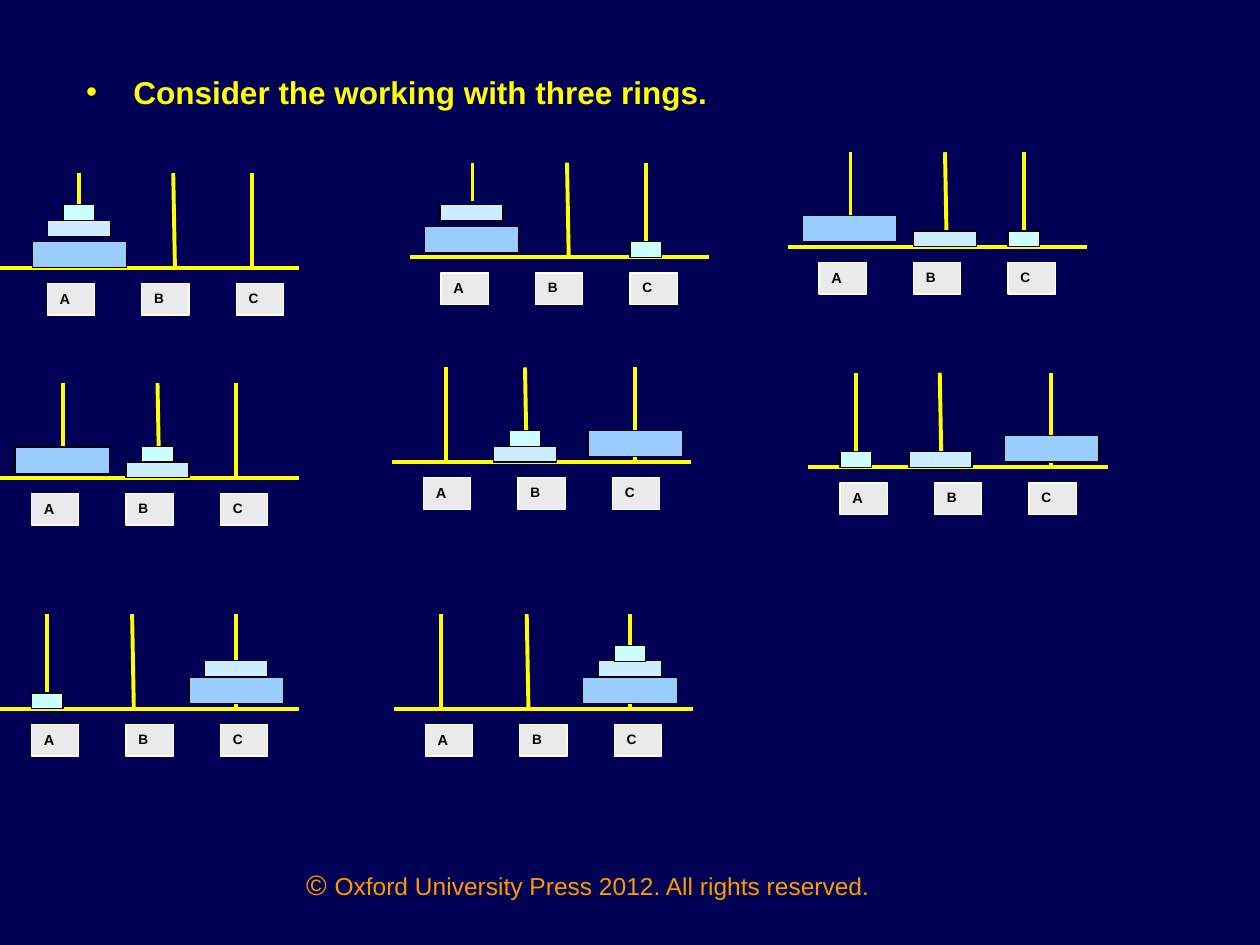
"""Builds a slide that shows eight states of three rings moving between three pegs."""
from pptx import Presentation
from pptx.dml.color import RGBColor
from pptx.enum.shapes import MSO_CONNECTOR, MSO_SHAPE
from pptx.enum.text import MSO_ANCHOR, MSO_AUTO_SIZE, PP_ALIGN
from pptx.oxml.ns import qn
from pptx.util import Pt
from lxml import etree

STRAIGHT = MSO_CONNECTOR.STRAIGHT
RECTANGLE = MSO_SHAPE.RECTANGLE
TOP = MSO_ANCHOR.TOP
NO_FIT = MSO_AUTO_SIZE.NONE
LEFT, CENTER = PP_ALIGN.LEFT, PP_ALIGN.CENTER

NAVY, YELLOW, ORANGE = "000055", "FFFF00", "FF9900"
BLACK, WHITE, GREY = "000000", "FFFFFF", "EAEAEA"
RINGS = [(54, 15, "99CCFF"), (36, 9, "CCECFF"), (18, 9, "CCFFFF")]
LABELS = [("A", 8.3), ("B", 7.8), ("C", 7.8)]
BASE_WIDTH, PEG_HEIGHT, LABEL_STEP = 171, 54, 54

# Base origin, first label, peg positions, foot of peg A, ring corners from large to small
STATES = [
    ((0, 153), 27, (45, 99, 144), -32, [(18.5, -15), (27, -27), (36, -36)]),
    ((234, 147), 18, (36, 90, 135), -32, [(8.5, -17.5), (17.5, -30), (126, -9)]),
    ((450, 141), 18, (36, 90, 135), -18, [(8.5, -18), (72, -9), (126, -9)]),
    ((0, 273), 18, (36, 90, 135), -18, [(8.5, -17.5), (72, -9), (81, -18)]),
    ((224, 264), 18, (31, 76, 139), 0, [(112, -18), (58, -9), (67, -18)]),
    ((462, 267), 18, (27, 75, 138.5), 0, [(112, -18), (57.5, -9), (18, -9)]),
    ((0, 405), 18, (27, 75.5, 135), 0, [(108, -18), (117, -27.5), (18, -9)]),
    ((225, 405), 18, (27, 76, 135), 0, [(108, -18), (117, -27.5), (126, -36)]),
]


def color(value):
    """Turn a hex string into a colour."""
    return RGBColor.from_string(value)


class RingSlide:
    """Holds the style and the current page."""

    font = "Arial"

    def __init__(self, page):
        """Take the page and paint its background."""
        self.page = page
        page.background.fill.solid()
        page.background.fill.fore_color.rgb = color(NAVY)

    def span(self, para, text, size, ink, bold=False):
        """Add one run of text."""
        span = para.add_run()
        span.text = text
        span.font.name = self.font
        span.font.size = Pt(size)
        span.font.bold = bold
        span.font.color.rgb = color(ink)

    def heading(self, text):
        """Fill the body placeholder with one bullet and drop the empty title."""
        title = self.page.shapes.title.element
        title.getparent().remove(title)
        body = self.page.placeholders[1]
        body.left, body.top, body.width, body.height = Pt(42), Pt(36), Pt(648), Pt(48)
        frame = body.text_frame
        frame.auto_size, frame.vertical_anchor = NO_FIT, TOP
        frame.margin_top = Pt(5.5)
        para = frame.paragraphs[0]
        props = para._p.get_or_add_pPr()
        props.set("marL", str(Pt(27)))
        props.set("indent", str(-Pt(27)))
        ink = etree.SubElement(props, qn("a:buClr"))
        etree.SubElement(ink, qn("a:srgbClr"), val=YELLOW)
        etree.SubElement(props, qn("a:buFont"), typeface=self.font)
        etree.SubElement(props, qn("a:buChar"), char="•")
        para.space_before = Pt(0)
        self.span(para, text, 18, YELLOW, True)

    def footer(self, spans):
        """Add the centred copyright line."""
        box = self.page.shapes.add_textbox(Pt(144), Pt(492), Pt(384), Pt(37.5))
        box.text_frame.word_wrap = True
        para = box.text_frame.paragraphs[0]
        para.alignment = CENTER
        for text, size in spans:
            self.span(para, text, size, ORANGE)

    def line(self, x1, y1, x2, y2):
        """Draw a yellow line."""
        line = self.page.shapes.add_connector(STRAIGHT, Pt(x1), Pt(y1), Pt(x2), Pt(y2))
        line.line.color.rgb = color(YELLOW)
        line.line.width = Pt(2.25)
        etree.SubElement(line._element.spPr, qn("a:effectLst"))

    def block(self, x, y, width, height, fill, edge):
        """Draw a flat rectangle."""
        block = self.page.shapes.add_shape(RECTANGLE, Pt(x), Pt(y), Pt(width), Pt(height))
        block.shadow.inherit = False
        block.fill.solid()
        block.fill.fore_color.rgb = color(fill)
        block.line.color.rgb = color(edge)
        block.line.width = Pt(0.75)
        return block

    def label(self, x, y, text, size):
        """Draw a peg's letter tile."""
        frame = self.block(x, y, 27, 18, GREY, WHITE).text_frame
        frame.word_wrap, frame.vertical_anchor = True, TOP
        para = frame.paragraphs[0]
        para.alignment = LEFT
        self.span(para, text, size, BLACK, True)

    def state(self, origin, first_label, pegs, foot, corners):
        """Draw the base, pegs, labels and rings of one state."""
        x, y = origin
        self.line(x, y, x + BASE_WIDTH, y)
        for peg, lean, end in zip(pegs, (0, 1, 0), (foot, 0.5, 0)):
            self.line(x + peg + lean, y + end, x + peg, y - PEG_HEIGHT)
        for index, (text, size) in enumerate(LABELS):
            self.label(x + first_label + index * LABEL_STEP, y + 9, text, size)
        for (dx, dy), (width, height, fill) in zip(corners, RINGS):
            self.block(x + dx, y + dy, width, height, fill, BLACK)


def main():
    """Build and save the deck."""
    deck = Presentation()
    deck.slide_width, deck.slide_height = Pt(720), Pt(540)
    slide = RingSlide(deck.slides.add_slide(deck.slide_layouts[1]))
    slide.footer([("© ", 16), ("Oxford University Press 2012. All rights reserved.", 14)])
    slide.heading("Consider the working with three rings.")
    for state in STATES:
        slide.state(*state)
    deck.save("out.pptx")


if __name__ == "__main__":
    main()
